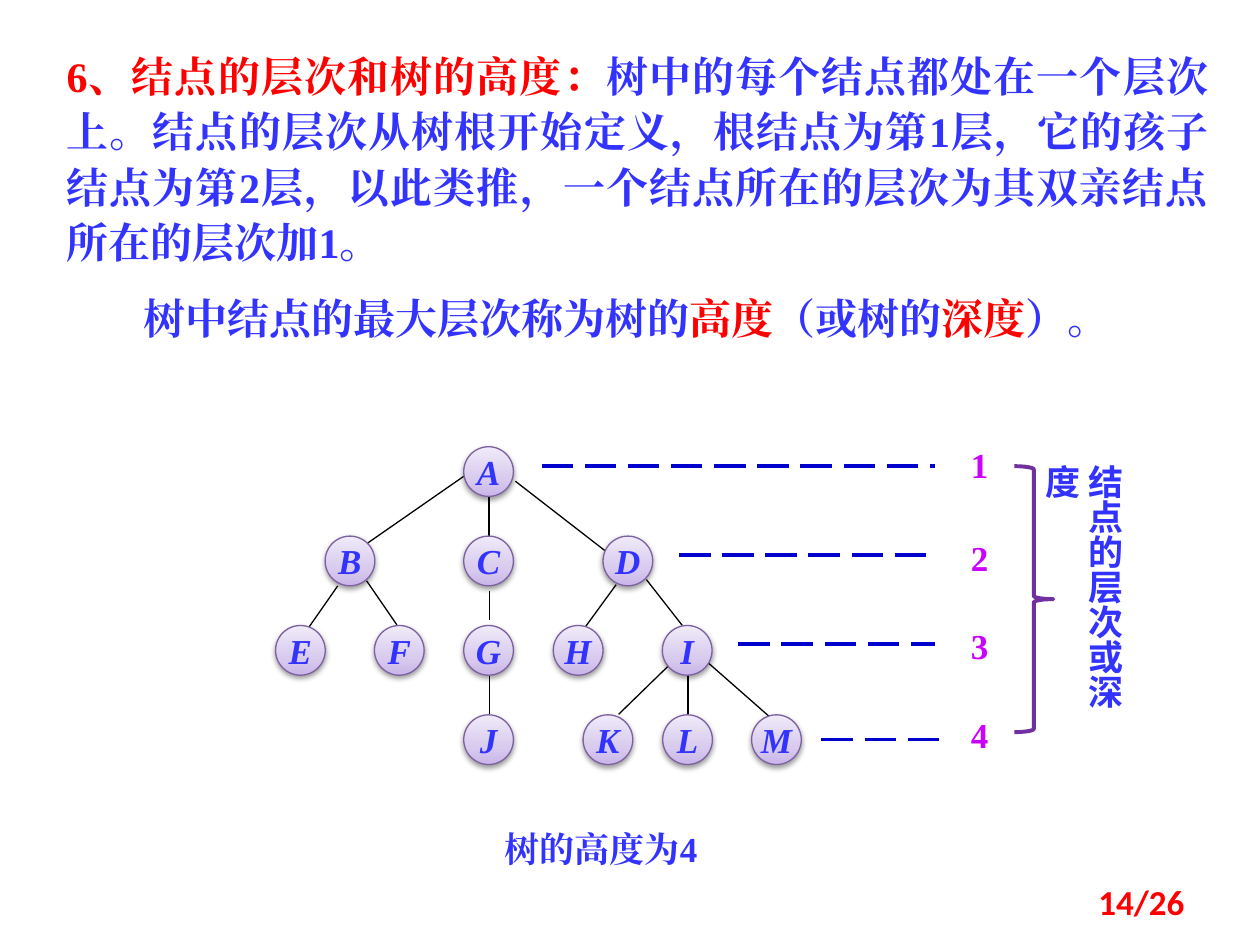
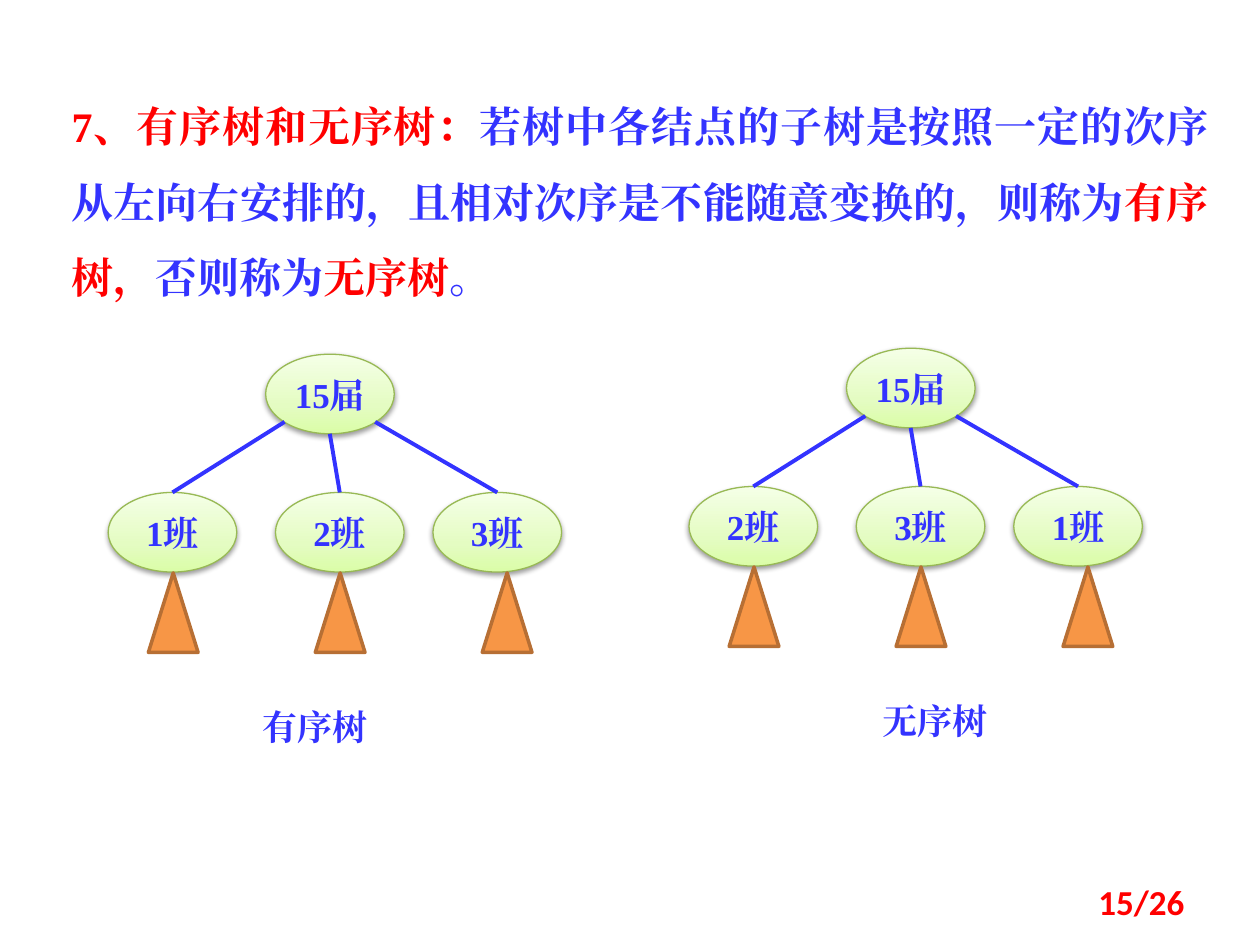
import copy
from dataclasses import dataclass

import lxml.etree
import pptx
import pptx.dml.color
import pptx.enum.dml
import pptx.enum.shapes
import pptx.enum.text
import pptx.oxml.ns
import pptx.util

Pt = pptx.util.Pt
RGB = pptx.dml.color.RGBColor.from_string
qn = pptx.oxml.ns.qn
SHAPE = pptx.enum.shapes.MSO_SHAPE
ALIGN = pptx.enum.text.PP_ALIGN
ANCHOR = pptx.enum.text.MSO_ANCHOR
DASH = pptx.enum.dml.MSO_LINE


@dataclass(frozen=True)
class Theme:
    """Colours, fonts and type sizes of the lecture."""
    ink: str = "3333FF"
    key: str = "FF0000"
    level: str = "CC00FF"
    guide: str = "0000CC"
    edge: str = "000000"
    brace: str = "7030A0"
    subtree: str = "F79646"
    subtree_line: str = "B76F34"
    purple: tuple = ("C9B5E8", "D8CBEE", "F0EAF9")
    purple_line: str = "7D60A0"
    green: tuple = ("DAFDA7", "E4FCC2", "F5FFE7")
    green_line: str = "98B955"
    serif: str = "Times New Roman"
    sans: str = "Calibri"
    cjk: str = "Noto Sans CJK SC"
    body: int = 24
    label: int = 20


class Lecture:
    """Holds the theme, the presentation and the current slide."""

    def __init__(self, theme):
        """Start an empty 4:3 presentation."""
        self.theme = theme
        self.deck = pptx.Presentation()
        self.deck.slide_width, self.deck.slide_height = Pt(720), Pt(540)
        self.slide = None

    def new_slide(self, page):
        """Add a blank slide with its page number."""
        self.slide = self.deck.slides.add_slide(self.deck.slide_layouts[6])
        t = self.theme
        number = self.text(516.5, 500.5, 167.5, 28.8, [[(page, t.key)]],
                           font=t.sans, align=ALIGN.RIGHT, grow=False)
        number.text_frame.vertical_anchor = ANCHOR.MIDDLE

    def style(self, paragraph, runs, size, font, italic=False):
        """Fill a paragraph with (text, colour) runs."""
        for words, colour in runs:
            run = paragraph.add_run()
            run.text = words
            run.font.size, run.font.name = Pt(size), font
            run.font.bold = True
            if italic:
                run.font.italic = True
            run.font.color.rgb = RGB(colour)
            latin = run.font._element.find(qn("a:latin"))
            east_asian = lxml.etree.Element(qn("a:ea"), typeface=font)
            latin.addnext(east_asian)

    def text(self, x, y, w, h, paragraphs, size=None, font=None,
             align=ALIGN.CENTER, spacing=None, grow=True):
        """Add a wrapping text box; each paragraph is a list of runs."""
        box = self.slide.shapes.add_textbox(Pt(x), Pt(y), Pt(w), Pt(h))
        frame = box.text_frame
        frame.word_wrap = True
        if grow:
            frame.auto_size = pptx.enum.text.MSO_AUTO_SIZE.SHAPE_TO_FIT_TEXT
        for i, runs in enumerate(paragraphs):
            paragraph = frame.add_paragraph() if i else frame.paragraphs[0]
            paragraph.alignment = align
            if spacing:
                paragraph.line_spacing = spacing
            self.style(paragraph, runs, size or self.theme.label,
                       font or self.theme.serif)
        return box

    def definition(self, x, y, w, h, paragraphs, spacing):
        """Add the justified body text of a slide."""
        return self.text(x, y, w, h, paragraphs, size=self.theme.body,
                         align=ALIGN.JUSTIFY, spacing=spacing)

    def shape(self, kind, x, y, w, h, line, weight):
        """Add an unfilled, outlined preset shape."""
        item = self.slide.shapes.add_shape(kind, Pt(x), Pt(y), Pt(w), Pt(h))
        item.shadow.inherit = False
        item.fill.background()
        item.line.color.rgb, item.line.width = RGB(line), Pt(weight)
        return item

    def node(self, x, y, w, h, label, shades, line, italic=False):
        """Add a labelled ellipse with a gradient and a soft shadow."""
        item = self.shape(SHAPE.OVAL, x, y, w, h, line, 0.75)
        item.fill.gradient()
        item.fill.gradient_angle = 90
        first = item._element.spPr.find(".//" + qn("a:gs"))
        first.addnext(copy.deepcopy(first))
        stops = item.fill.gradient_stops
        for stop, colour, place in zip(stops, shades, (0, 0.35, 1)):
            stop.color.rgb, stop.position = RGB(colour), place
        effects = item._element.spPr.find(qn("a:effectLst"))
        shadow = lxml.etree.SubElement(
            effects, qn("a:outerShdw"), blurRad=str(Pt(3.1)),
            dist=str(Pt(1.6)), dir="5400000", rotWithShape="0")
        black = lxml.etree.SubElement(shadow, qn("a:srgbClr"), val="000000")
        lxml.etree.SubElement(black, qn("a:alpha"), val="38000")
        frame = item.text_frame
        frame.word_wrap = not italic
        frame.vertical_anchor = ANCHOR.MIDDLE
        if not italic:
            frame.margin_left = frame.margin_right = 0
            frame.margin_top = frame.margin_bottom = 0
        frame.paragraphs[0].alignment = ALIGN.CENTER
        self.style(frame.paragraphs[0], [(label, self.theme.ink)],
                   self.theme.label, self.theme.serif, italic)

    def line(self, x1, y1, x2, y2, colour, weight, dash=None):
        """Add a straight line without a shadow."""
        item = self.slide.shapes.add_connector(
            pptx.enum.shapes.MSO_CONNECTOR.STRAIGHT,
            Pt(x1), Pt(y1), Pt(x2), Pt(y2))
        item.line.color.rgb, item.line.width = RGB(colour), Pt(weight)
        if dash:
            item.line.dash_style = dash
        lxml.etree.SubElement(item._element.spPr, qn("a:effectLst"))

    def class_tree(self, x, y, labels, caption, caption_x):
        """Add a year with three classes, their subtrees and a caption."""
        t = self.theme
        w, h, row = 73.5, 45.5, 79
        self.node(x + 90, y, w, h, "15届", t.green, t.green_line)
        starts = ((100.8, 38.7), (126.7, h), (152.6, 38.7))
        for label, left, start in zip(labels, (0, 95.6, 185.6), starts):
            self.node(x + left, y + row, w, h, label, t.green, t.green_line)
            self.line(x + start[0], y + start[1], x + left + w / 2, y + row,
                      t.ink, 2.25)
        for i in range(3):
            tree = self.shape(SHAPE.ISOSCELES_TRIANGLE, x + 23 + 95.4 * i,
                              y + 125, 28.4, 45.4, t.subtree_line, 2)
            tree.fill.solid()
            tree.fill.fore_color.rgb = RGB(t.subtree)
        self.text(caption_x, y + 197.3, 101.5, 31.5, [[(caption, t.ink)]])


def height_slide(lecture):
    """Levels of nodes and the height of a tree."""
    t = lecture.theme
    lecture.new_slide("14/26")
    intro = lecture.definition(31, 22.3, 666.7, 181.4, [
        [("6、结点的层次和树的高度：", t.key),
         ("树中的每个结点都处在一个层次上。结点的层次从树根开始定义，"
          "根结点为第1层，它的孩子结点为第2层，以此类推，"
          "一个结点所在的层次为其双亲结点所在的层次加1。", t.ink)],
        [("树中结点的最大层次称为树的", t.ink), ("高度", t.key),
         ("（或树的", t.ink), ("深度", t.key), ("）。", t.ink)]], 1.1)
    height_rule = intro.text_frame.paragraphs[1]
    height_rule.space_before = Pt(12)
    height_rule._p.get_or_add_pPr().set("indent", str(Pt(44)))

    edges = [
        (265, 272.2, 208, 311.8), (279.4, 283.7, 279.4, 306.7),
        (294.5, 275, 345.6, 314.6), (193, 334.8, 176.4, 358.6),
        (209.5, 331.9, 226.8, 357.1), (279.6, 337.7, 279.6, 354.2),
        (352.1, 334.1, 334.8, 357.8), (369.4, 331.2, 390.2, 357.8),
        (279.6, 385.9, 279.6, 408.2), (382.3, 380.2, 353.5, 408.2),
        (393.1, 385.9, 393.1, 408.2), (404.6, 378.7, 439.9, 409.7)]
    for edge in edges:
        lecture.line(*edge, t.edge, 0.75)
    levels = [
        {"A": 265},
        {"B": 185.8, "C": 265, "D": 344.6},
        {"E": 157.5, "F": 214, "G": 265, "H": 316.2, "I": 378.5},
        {"J": 265, "K": 333.2, "L": 378.7, "M": 429.5}]
    for depth, nodes in enumerate(levels):
        for letter, x in nodes.items():
            lecture.node(x, 255.3 + 51.07 * depth, 28.4, 28.4, letter,
                         t.purple, t.purple_line, italic=True)

    guides = [(309.6, 534.2, 266.4, 249.8), (388.1, 534.2, 317.3, 303.1),
              (421.9, 534.2, 367.9, 353.5), (469.4, 540, 422.6, 403.9)]
    for number, (start, end, y, top) in enumerate(guides, 1):
        lecture.line(start, y, end, y, t.guide, 2.25, DASH.LONG_DASH)
        lecture.text(545.8, top, 28.1, 31, [[(str(number), t.level)]])
    lecture.text(247.7, 469.4, 191.5, 31.5, [[("树的高度为4", t.ink)]])

    lecture.shape(SHAPE.RIGHT_BRACE, 579.6, 266.4, 22.3, 152, t.brace, 2.25)
    side = lecture.text(607.7, 258.5, 38.9, 168.5,
                        [[("结点的层次或深度", t.ink)]],
                        font=t.cjk, align=ALIGN.LEFT)
    side.text_frame._txBody.bodyPr.set("vert", "eaVert")


def order_slide(lecture):
    """Ordered and unordered trees side by side."""
    t = lecture.theme
    lecture.new_slide("15/26")
    lecture.definition(33.8, 39.6, 663.8, 138.2, [
        [("7、有序树和无序树：", t.key),
         ("若树中各结点的子树是按照一定的次序从左向右安排的，"
          "且相对次序是不能随意变换的，则称为", t.ink),
         ("有序树，", t.key), ("否则称为", t.ink),
         ("无序树", t.key), ("。", t.ink)]], 1.5)
    lecture.class_tree(61.8, 202.4, ("1班", "2班", "3班"), "有序树", 129.4)
    lecture.class_tree(393.7, 199, ("2班", "3班", "1班"), "无序树", 483.8)


lecture = Lecture(Theme())
height_slide(lecture)
order_slide(lecture)
lecture.deck.save("out.pptx")
